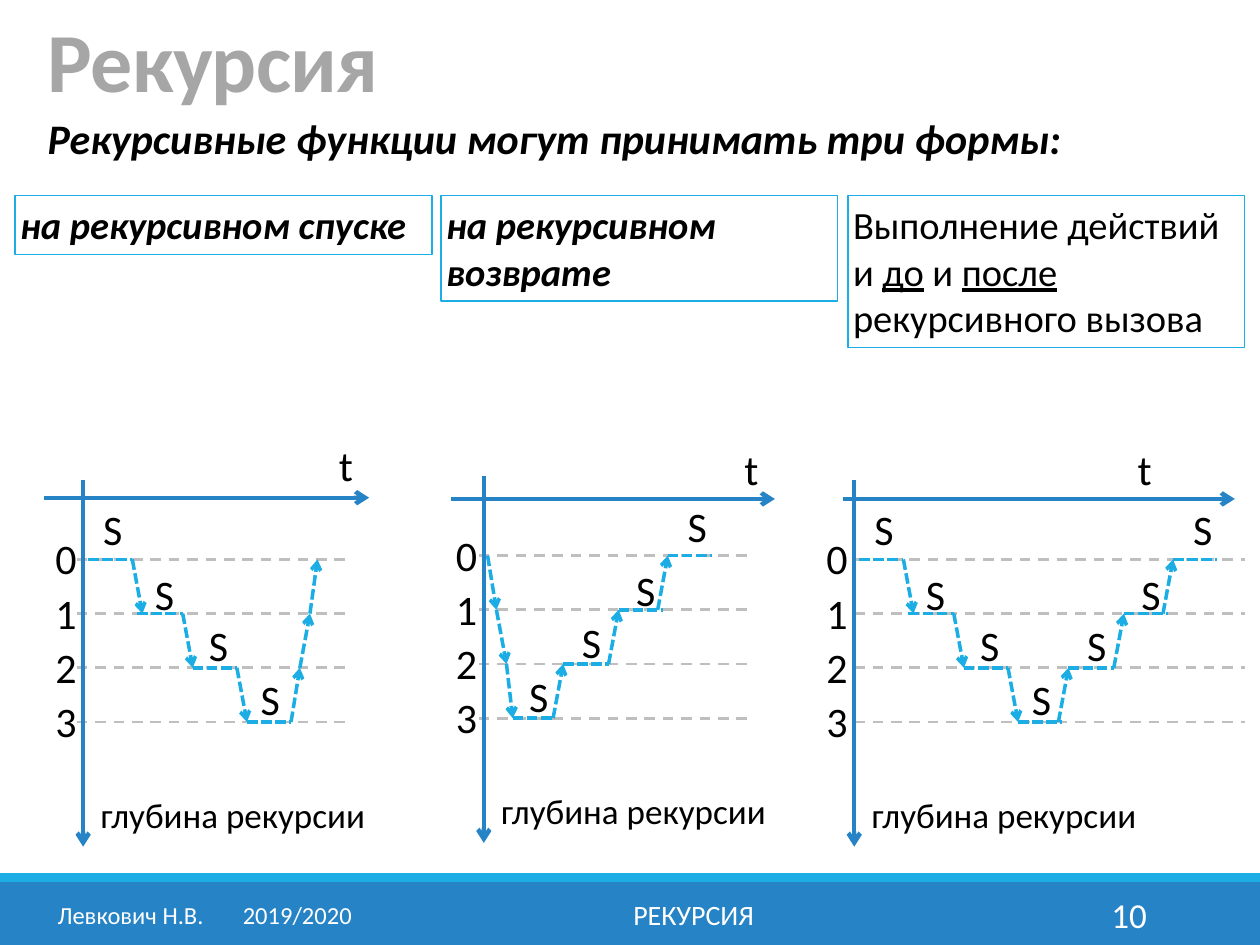
from lxml.etree import SubElement
from pptx import Presentation
from pptx.dml.color import RGBColor
from pptx.enum.dml import MSO_LINE_DASH_STYLE as Dash
from pptx.enum.shapes import MSO_CONNECTOR, MSO_SHAPE
from pptx.enum.text import MSO_ANCHOR as Anchor, PP_ALIGN as Align
from pptx.oxml.ns import qn
from pptx.util import Inches, Pt

FONT = "Calibri"
BLUE, CYAN, GRAY, SILVER = "2683C6", "1CADE4", "A6A6A6", "BFBFBF"
BLACK, WHITE = "000000", "FFFFFF"

TITLE = "Рекурсия"
SUBTITLE = "Рекурсивные функции могут принимать три формы:"
FORMS = [
    (0.12, 3.31, 0.47, True, [[("на рекурсивном спуске", False)]]),
    (3.5, 3.15, 0.84, True, [[("на рекурсивном возврате", False)]]),
    (6.73, 3.15, 1.21, False, [
        [("Выполнение действий", False)],
        [("и ", False), ("до", True), (" и ", False), ("после ", True),
         ("рекурсивного вызова", False)],
    ]),
]
FOOTER = [
    ("Левкович Н.В.\t2019/2020", 0.32, 2.61, 14, Align.CENTER),
    ("РЕКУРСИЯ", 3.02, 4.97, 16, Align.CENTER),
    ("10", 8.12, 1.08, 20, Align.RIGHT),
]

# Steps: (x, depth) to (x, depth), with x measured from the depth axis
DESCENT = [
    (0.04, 0, 0.39, 0), (0.39, 0, 0.47, 1), (0.43, 1, 0.79, 1), (0.79, 1, 0.87, 2),
    (0.87, 2, 1.22, 2), (1.22, 2, 1.3, 3), (1.3, 3, 1.65, 3),
]
ASCENT = [
    (0.55, 3, 0.63, 2), (0.63, 2, 0.99, 2), (0.99, 2, 1.07, 1),
    (1.07, 1, 1.42, 1), (1.38, 1, 1.46, 0), (1.46, 0, 1.81, 0),
]
FAST_ASCENT = [(1.65, 3, 1.72, 2), (1.72, 2, 1.8, 1), (1.8, 1, 1.86, 0)]
FAST_DESCENT = [(0.03, 0, 0.1, 1), (0.1, 1, 0.18, 2), (0.18, 2, 0.23, 3), (0.23, 3, 0.55, 3)]
DESCENT_LABELS = [(0.06, 0), (0.47, 1), (0.9, 2), (1.31, 3)]
ASCENT_LABELS = [(0.68, 2), (1.11, 1), (1.52, 0)]
ASCENT_SHIFT = 1.07
LABEL_RISE = (0.49, 0.41, 0.43, 0.43)
LEVEL_TOP, LEVEL_GAP = 0.63, 0.43


def shifted(steps, shift):
    return [(x1 + shift, d1, x2 + shift, d2) for x1, d1, x2, d2 in steps]


DIAGRAMS = [
    dict(axis=(0.66, 3.81), time=(-0.31, 2.27, 3.95), t=(1.93, 3.44), guide=(-0.05, 2.12),
         steps=DESCENT + FAST_ASCENT, labels=DESCENT_LABELS),
    dict(axis=(3.84, 3.78), time=(-0.26, 2.31, 3.96), t=(1.97, 3.47), guide=(-0.04, 2.12),
         steps=FAST_DESCENT + ASCENT, labels=[(0.26, 3)] + ASCENT_LABELS),
    dict(axis=(6.78, 3.81), time=(-0.09, 3.02, 3.96), t=(2.15, 3.47), guide=(0, 3.1),
         steps=DESCENT + shifted(ASCENT, ASCENT_SHIFT),
         labels=DESCENT_LABELS + [(x + ASCENT_SHIFT, depth) for x, depth in ASCENT_LABELS]),
]


def color(value):
    return RGBColor.from_string(value)


def style(paragraph, size, fill=BLACK, bold=False, italic=False):
    font = paragraph.font
    font.name, font.size, font.bold, font.italic = FONT, Pt(size), bold, italic
    font.color.rgb = color(fill)


def add_text(text, left, top, width, height, size, fill=BLACK, strong=False,
             align=Align.LEFT, anchor=Anchor.TOP):
    box = slide.shapes.add_textbox(*map(Inches, (left, top, width, height)))
    frame = box.text_frame
    frame.word_wrap = True
    frame.vertical_anchor = anchor
    paragraph = frame.paragraphs[0]
    paragraph.text = text
    paragraph.alignment = align
    style(paragraph, size, fill, strong, strong)
    return paragraph


def add_mark(text, left, top):
    add_text(text, left, top, 0.28, 0.5, 24)


def add_rectangle(left, top, width, height):
    shape = slide.shapes.add_shape(MSO_SHAPE.RECTANGLE, *map(Inches, (left, top, width, height)))
    shape.shadow.inherit = False
    return shape


def add_band(top, height, fill):
    band = add_rectangle(0, top, 10, height)
    band.fill.solid()
    band.fill.fore_color.rgb = color(fill)
    band.line.fill.background()


def add_form(left, width, height, strong, lines):
    box = add_rectangle(left, 1.55, width, height)
    box.fill.background()
    box.line.color.rgb = color(CYAN)
    box.line.width = Pt(0.75)
    frame = box.text_frame
    frame.word_wrap = True
    frame.vertical_anchor = Anchor.TOP
    frame.margin_left = frame.margin_right = Inches(0.04)
    frame.margin_top = frame.margin_bottom = Inches(0.05)
    paragraph = frame.paragraphs[0]
    paragraph.alignment = Align.LEFT
    style(paragraph, 22, BLACK, strong, strong)
    for number, line in enumerate(lines):
        if number:
            paragraph.add_line_break()
        for text, underlined in line:
            run = paragraph.add_run()
            run.text = text
            run.font.underline = underlined


def add_line(x1, y1, x2, y2, stroke, width, dash=None, arrow=False):
    line = slide.shapes.add_connector(MSO_CONNECTOR.STRAIGHT, *map(Inches, (x1, y1, x2, y2)))
    line.line.color.rgb = color(stroke)
    line.line.width = Pt(width)
    if dash:
        line.line.dash_style = dash
    if arrow:
        SubElement(line.line._get_or_add_ln(), qn("a:tailEnd"), type="arrow")
    SubElement(line._element.spPr, qn("a:effectLst"))


def add_diagram(axis, time, t, guide, steps, labels):
    x, top = axis
    levels = [top + LEVEL_TOP + LEVEL_GAP * depth for depth in range(4)]
    for y in levels:
        add_line(x + guide[0], y, x + guide[1], y, SILVER, 1.5, Dash.DASH)
    add_line(x, top, x, top + 2.91, BLUE, 2.5, arrow=True)
    add_line(x + time[0], time[2], x + time[1], time[2], BLUE, 2.5, arrow=True)
    add_mark("t", x + t[0], t[1])
    add_text("глубина рекурсии", x + 0.04, top + 2.44, 2.44, 0.44, 20)
    for depth, y in enumerate(levels):
        add_mark(str(depth), x - 0.32, y - 0.26)
    for x1, depth1, x2, depth2 in steps:
        add_line(x + x1, levels[depth1], x + x2, levels[depth2], CYAN, 2,
                 Dash.SQUARE_DOT, depth1 != depth2)
    for offset, depth in labels:
        add_mark("S", x + offset, levels[depth] - LABEL_RISE[depth])


presentation = Presentation()
presentation.slide_width, presentation.slide_height = Inches(10), Inches(7.5)
slide = presentation.slides.add_slide(presentation.slide_layouts[5])

add_band(7, 0.5, BLUE)
add_band(6.93, 0.07, CYAN)

title = slide.shapes.title
title.left, title.top, title.width, title.height = map(Inches, (0.28, 0, 8.25, 0.92))
title.text_frame.text = TITLE
title.text_frame.vertical_anchor = Anchor.BOTTOM
heading = title.text_frame.paragraphs[0]
heading.alignment = Align.LEFT
heading.line_spacing = 0.85
style(heading, 48, GRAY, bold=True)
heading.runs[0].font._element.set("spc", "-50")

add_text(SUBTITLE, 0.28, 0.84, 9.29, 0.5, 24, strong=True)
for form in FORMS:
    add_form(*form)
for text, left, width, size, align in FOOTER:
    paragraph = add_text(text, left, 7.06, width, 0.4, size, WHITE, align=align, anchor=Anchor.MIDDLE)
    if "\t" in text:
        tabs = SubElement(paragraph._p.get_or_add_pPr(), qn("a:tabLst"))
        SubElement(tabs, qn("a:tab"), pos=str(Inches(1.47)), algn="l")
        paragraph._p.pPr.insert(0, tabs)
for diagram in DIAGRAMS:
    add_diagram(**diagram)

presentation.save("out.pptx")
